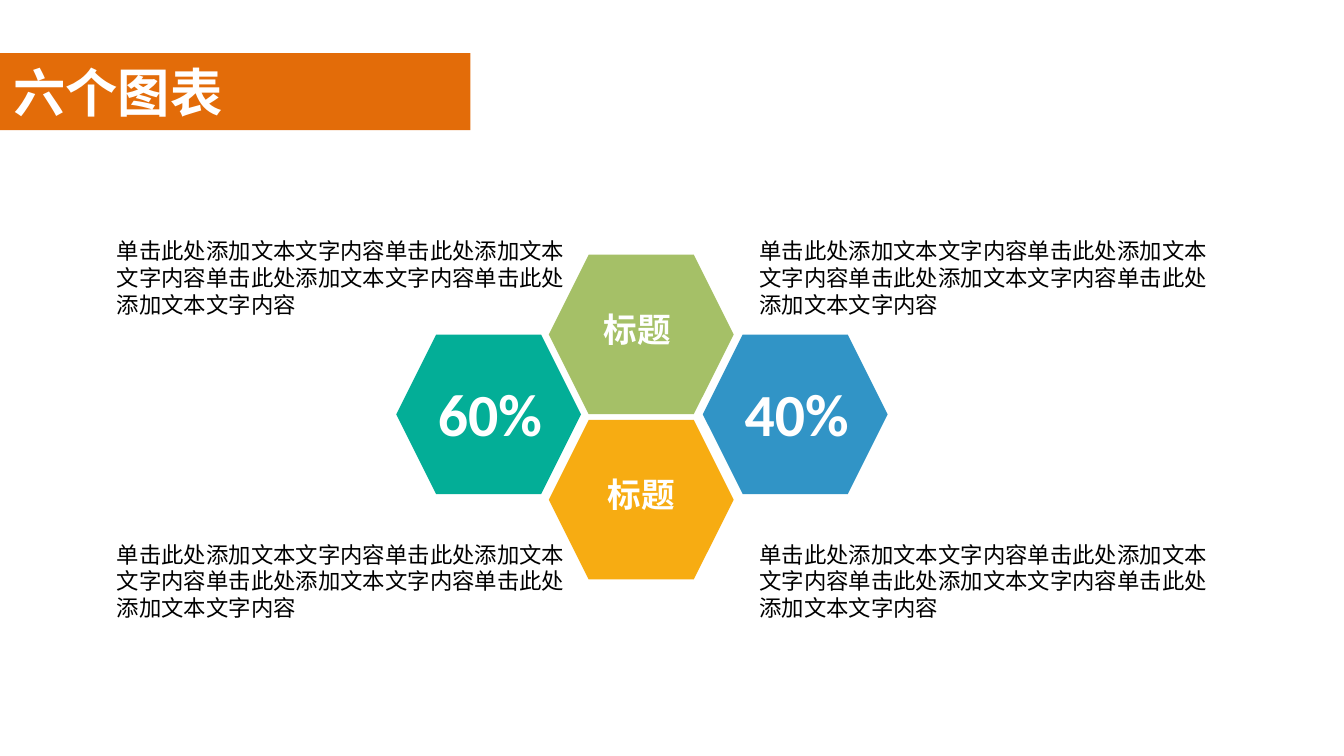
from dataclasses import dataclass

from lxml import etree
from pptx import Presentation
from pptx import util as u
from pptx.dml.color import RGBColor
from pptx.enum import shapes, text
from pptx.oxml import ns

PX = 9525
BODY = "单击此处添加文本文字内容" * 4


@dataclass(frozen=True)
class Theme:
    """Colours, fonts and type sizes of the slide."""
    band: str = "E36C09"
    green: str = "A5C067"
    teal: str = "03AE97"
    amber: str = "F7AC12"
    blue: str = "3194C6"
    light: str = "FFFFFF"
    dark: str = "000000"
    latin: str = "Calibri"
    cjk: str = "Noto Sans CJK SC"
    title: int = 28
    percent: int = 32
    label: int = 18
    body: int = 12


THEME = Theme()


def emu(*lengths):
    """Turn px lengths into EMU."""
    return [u.Emu(n * PX) for n in lengths]


def paint(sp, color):
    """Fill a shape with one solid colour."""
    sp.fill.solid()
    sp.fill.fore_color.rgb = RGBColor.from_string(color)


def write(sp, words, size, color, font, bold=False, align=text.PP_ALIGN.LEFT, wrap=True):
    """Put one formatted paragraph into a shape."""
    tf = sp.text_frame
    tf.word_wrap = wrap
    tf.auto_size = text.MSO_AUTO_SIZE.NONE
    tf.vertical_anchor = text.MSO_ANCHOR.MIDDLE
    p = tf.paragraphs[0]
    p.text = words
    p.alignment = align
    p.font.name = font
    p.font.size = u.Pt(size)
    p.font.bold = bold
    p.font.color.rgb = RGBColor.from_string(color)
    props = p._p.get_or_add_pPr().find(ns.qn("a:defRPr"))
    etree.SubElement(props, ns.qn("a:ea"), typeface=THEME.cjk)


def add_title(slide, box, words):
    """Turn the title placeholder into a coloured band."""
    sp = slide.shapes.title
    sp.left, sp.top, sp.width, sp.height = emu(*box)
    paint(sp, THEME.band)
    write(sp, words, THEME.title, THEME.light, THEME.latin, bold=True)


def add_hexagon(slide, box, color, words, size, dx, dy):
    """Draw a hexagon with a label offset from its centre."""
    left, top, width, height = box
    sp = slide.shapes.add_shape(shapes.MSO_SHAPE.HEXAGON, *emu(*box))
    sp.adjustments[0] = 0.25
    sp.shadow.inherit = False
    sp.line.fill.background()
    paint(sp, color)
    label = slide.shapes.add_textbox(*emu(left + dx, top + dy, width, height))
    write(label, words, size, THEME.light, THEME.latin, bold=True,
          align=text.PP_ALIGN.CENTER, wrap=False)


def add_honeycomb(slide, box):
    """Place four hexagons in a cross of three columns."""
    left, top, width, height = box
    w, h = 132, 114
    middle, right = (width - w) // 2, width - w
    low, half = height - h, h // 2
    cells = [
        (middle, 0, THEME.green, "标题", THEME.label, -3, -4),
        (0, half, THEME.teal, "60%", THEME.percent, 1, -1),
        (middle, low, THEME.amber, "标题", THEME.label, 0, -4),
        (right, half, THEME.blue, "40%", THEME.percent, 1, -1),
    ]
    for x, y, *style in cells:
        add_hexagon(slide, (left + x, top + y, w, h), *style)


def add_notes_grid(slide, box):
    """Place a body text in each corner of the box."""
    left, top, width, height = box
    w, h = 353, 68
    for x in (left, left + width - w):
        for y in (top, top + height - h):
            sp = slide.shapes.add_textbox(*emu(x, y, w, h))
            write(sp, BODY, THEME.body, THEME.dark, THEME.cjk)


def main():
    """Build and save the slide."""
    prs = Presentation()
    prs.slide_width, prs.slide_height = emu(960, 540)
    slide = prs.slides.add_slide(prs.slide_layouts[5])
    add_title(slide, (0, 38, 336, 55), "六个图表")
    add_honeycomb(slide, (283, 182, 351, 232))
    add_notes_grid(slide, (74, 164, 812, 285))
    prs.save("out.pptx")


if __name__ == "__main__":
    main()
